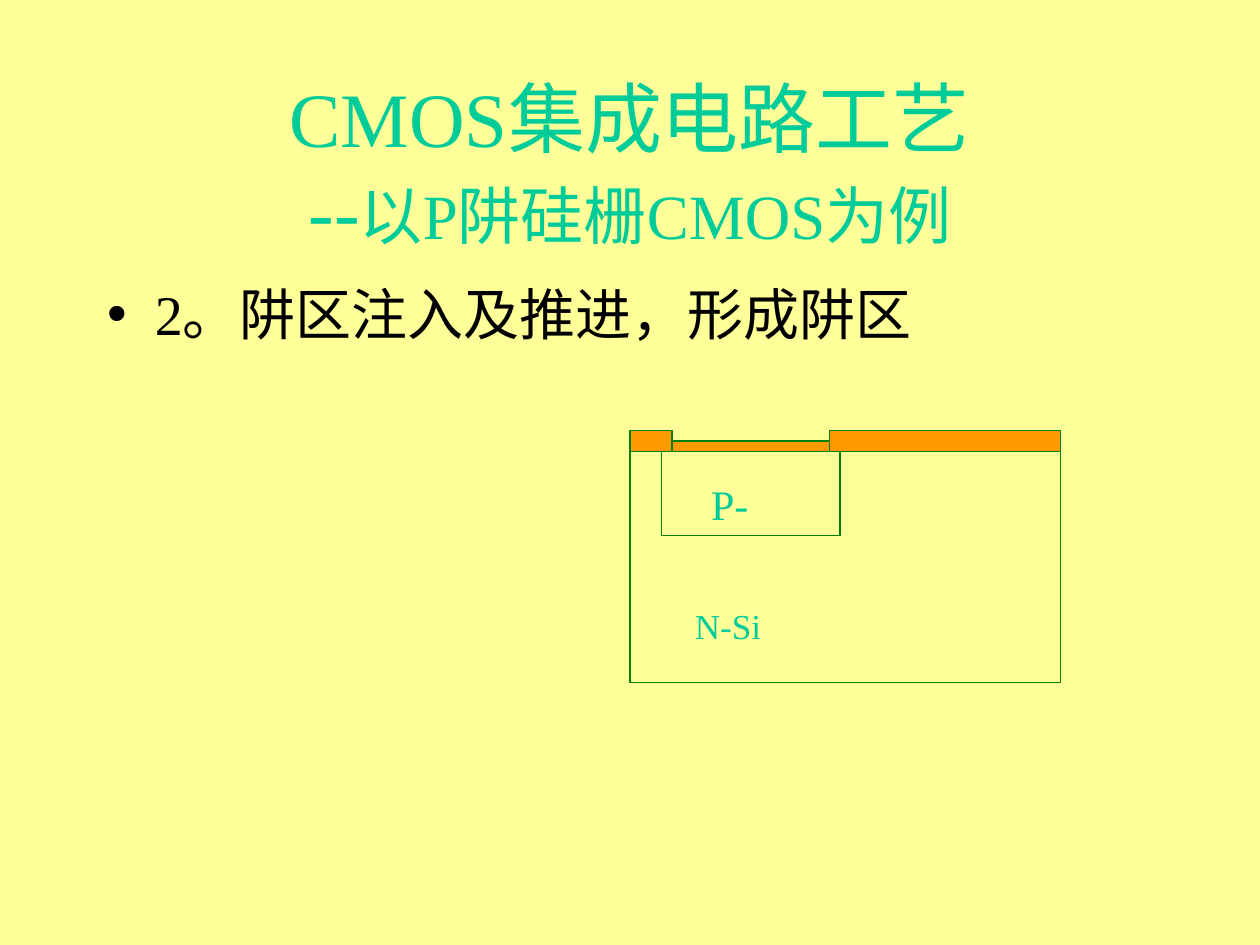
"""Build the CMOS process slide showing the P-well implant and drive-in step."""
from typing import NamedTuple

from lxml.etree import SubElement
from pptx import Presentation
from pptx.dml.color import RGBColor
from pptx.enum.shapes import MSO_SHAPE as Preset
from pptx.enum.text import MSO_ANCHOR as Anchor, MSO_AUTO_SIZE as Fit, PP_ALIGN as Align
from pptx.oxml.ns import qn
from pptx.util import Inches, Pt

COLS, ROWS = 120, 90
COLORS = {"paper": "FFFF99", "accent": "00CC99", "ink": "000000",
          "oxide": "FF9900", "outline": "008000"}


class Area(NamedTuple):
    col: float
    row: float
    cols: float
    rows: float


class Region(NamedTuple):
    area: Area
    fill: str | None = None


class Label(NamedTuple):
    text: str
    area: Area
    size: int
    align: Align
    anchor: Anchor
    fit: Fit


REGIONS = [
    Region(Area(63, 43, 17, 8)),
    Region(Area(64, 42, 15, 1), "oxide"),
    Region(Area(60, 43, 41, 22)),
    Region(Area(60, 41, 4, 2), "oxide"),
    Region(Area(79, 41, 22, 2), "oxide"),
]
LABELS = [
    Label("N-Si", Area(65, 57, 8.8, 5.3), 20, Align.LEFT, Anchor.TOP, Fit.NONE),
    Label("P-", Area(67, 46, 5, 4), 24, Align.CENTER, Anchor.MIDDLE, Fit.NONE),
]


def color(name: str) -> RGBColor:
    return RGBColor.from_string(COLORS[name])


def box(area: Area) -> list[int]:
    width, height = deck.slide_width, deck.slide_height
    return [round(share) for share in (
        area.col * width / COLS, area.row * height / ROWS,
        area.cols * width / COLS, area.rows * height / ROWS)]


def place(holder, area: Area) -> None:
    for side, length in zip(("left", "top", "width", "height"), box(area)):
        setattr(holder, side, length)


def apply(target, formats: dict) -> None:
    for attribute, value in formats.items():
        setattr(target, attribute, value)


def write(paragraph, text: str, size: int, tint: str) -> None:
    run = paragraph.add_run()
    run.text = text
    apply(run.font, {"name": "Times New Roman", "size": Pt(size)})
    run.font.color.rgb = color(tint)


def draw_region(region: Region) -> None:
    layer = slide.shapes.add_shape(Preset.RECTANGLE, *box(region.area))
    layer.shadow.inherit = False
    if region.fill:
        layer.fill.solid()
        layer.fill.fore_color.rgb = color(region.fill)
    else:
        layer.fill.background()
    layer.line.color.rgb = color("outline")
    layer.line.width = Pt(0.75)


def draw_label(label: Label) -> None:
    frame = slide.shapes.add_textbox(*box(label.area)).text_frame
    apply(frame, {"word_wrap": False, "auto_size": label.fit,
                  "vertical_anchor": label.anchor})
    frame.paragraphs[0].alignment = label.align
    write(frame.paragraphs[0], label.text, label.size, "accent")


def fill_title() -> None:
    title = slide.shapes.title
    place(title, Area(9, 8, 102, 15))
    apply(title.text_frame, {"auto_size": Fit.NONE, "vertical_anchor": Anchor.MIDDLE})
    heading = title.text_frame.paragraphs[0]
    heading.alignment = Align.CENTER
    write(heading, "CMOS集成电路工艺", 44, "accent")
    heading.add_line_break()
    write(heading, "--", 44, "accent")
    write(heading, "以P阱硅栅CMOS为例", 36, "accent")


def fill_body() -> None:
    body = slide.placeholders[1]
    place(body, Area(9, 26, 102, 54))
    apply(body.text_frame, {"auto_size": Fit.NONE, "vertical_anchor": Anchor.TOP})
    step = body.text_frame.paragraphs[0]
    step.space_before = Pt(0)
    layout = step._p.get_or_add_pPr()
    layout.set("marL", str(Inches(0.38)))
    layout.set("indent", str(Inches(-0.38)))
    SubElement(SubElement(layout, qn("a:buClr")), qn("a:srgbClr"), val=COLORS["ink"])
    SubElement(layout, qn("a:buChar"), char="•")
    write(step, "2。阱区注入及推进，形成阱区", 32, "ink")


deck = Presentation()
apply(deck, {"slide_width": Inches(10), "slide_height": Inches(7.5)})
slide = deck.slides.add_slide(deck.slide_layouts[1])
slide.background.fill.solid()
slide.background.fill.fore_color.rgb = color("paper")
fill_title()
fill_body()
for region in REGIONS:
    draw_region(region)
for label in LABELS:
    draw_label(label)
deck.save("out.pptx")
